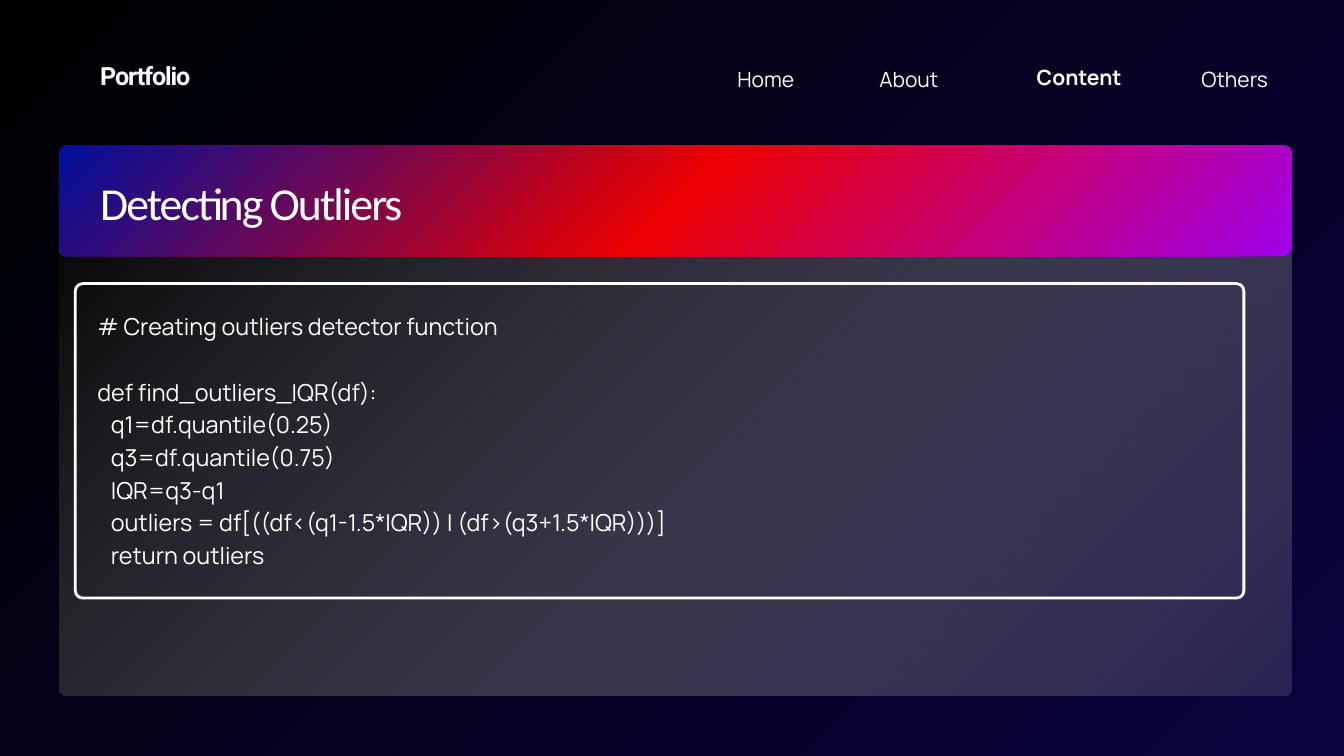
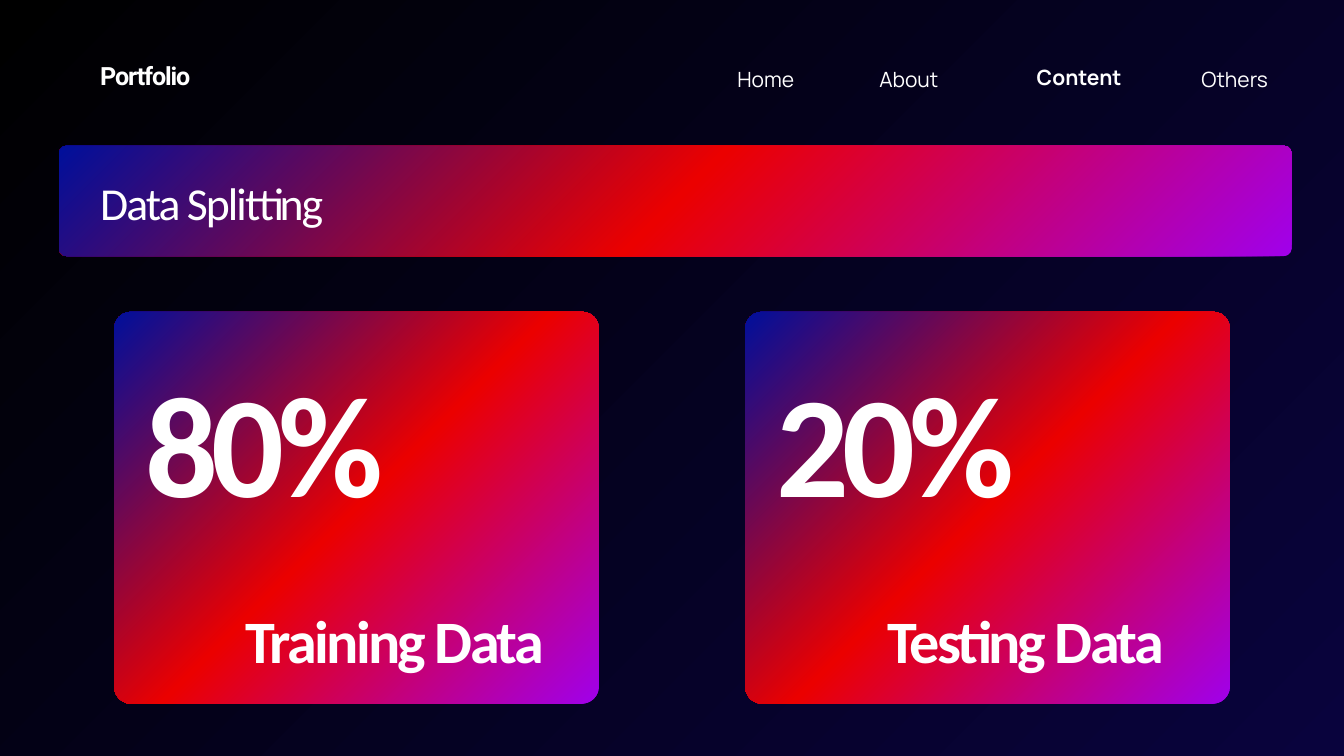
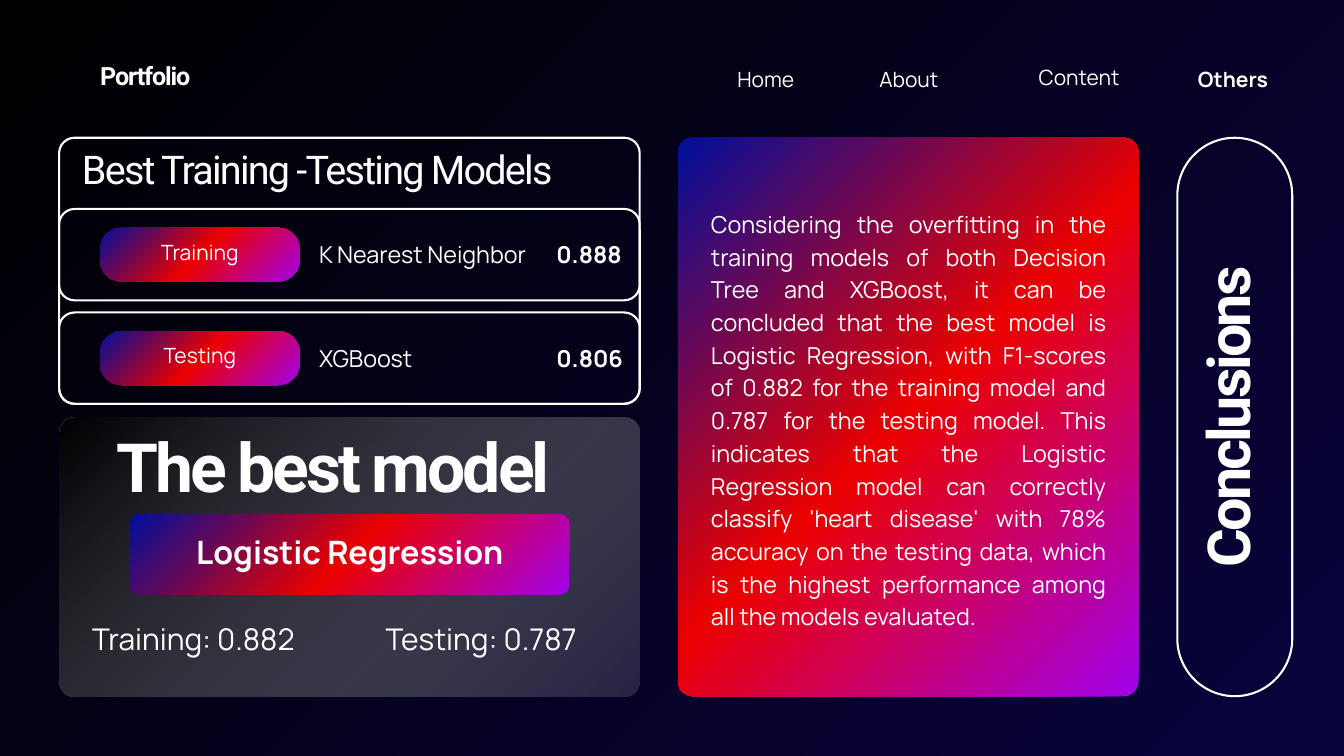
from dataclasses import dataclass
from typing import Optional

from lxml import etree
from pptx import Presentation
from pptx.dml.color import RGBColor
from pptx.enum.shapes import MSO_SHAPE as SHAPE
from pptx.enum.text import MSO_ANCHOR as ANCHOR, PP_ALIGN as ALIGN
from pptx.oxml.ns import qn
from pptx.shapes.autoshape import Shape
from pptx.slide import Slide
from pptx.text.text import TextFrame
from pptx.util import Inches, Pt

COLORS = {
    "white": "FFFFFF",
    "black": "000000",
    "night": "09033D",
    "blue": "000F9B",
    "red": "EB0000",
    "purple": "A000EB",
    "mist": "DDDDDD",
}


@dataclass(frozen=True)
class Gradient:
    stops: tuple[tuple[int, str, int], ...]
    angle: Optional[int] = None


@dataclass(frozen=True)
class Style:
    font: str
    size: float
    line: float
    bold: bool = False
    spacing: float = 0
    align: ALIGN = ALIGN.LEFT


@dataclass(frozen=True)
class Box:
    left: float
    top: float
    width: float
    height: float


@dataclass(frozen=True)
class NavItem:
    label: str
    box: Box
    align: ALIGN


@dataclass(frozen=True)
class Card:
    left: float
    share: str
    label: str


@dataclass(frozen=True)
class ModelRow:
    top: float
    stage: str
    model: str
    score: str


BACKDROP = Gradient(((0, "black", 100), (100, "night", 100)))
VIVID = Gradient(((0, "blue", 100), (50, "red", 100), (100, "purple", 100)))
GLASS = Gradient(((0, "black", 78), (100, "mist", 15)), 45)

BRAND = Style("Roboto", 26.9, 37.6, True, -1.2)
TITLE = Style("Calibri", 49, 68.6, spacing=-2.1)
CODE = Style("Manrope", 25, 35)
BODY = Style("Manrope", 25, 35, align=ALIGN.JUSTIFY)
SCORE = Style("Manrope", 25, 35, True, align=ALIGN.JUSTIFY)
RESULT = Style("Manrope", 32, 44.8, align=ALIGN.JUSTIFY)
STAGE = Style("Manrope", 22.5, 31.5, align=ALIGN.CENTER)
WINNER = Style("Manrope", 34.5, 48.3, True, align=ALIGN.CENTER)
SHARE = Style("Calibri", 154.1, 215.8, True, -6.8, ALIGN.JUSTIFY)
CARD_LABEL = Style("Calibri", 64.5, 90.3, True, -2.8, ALIGN.CENTER)
MODELS_TITLE = Style("Roboto", 42.4, 43.2, spacing=-1.9)
BEST_TITLE = Style("Roboto", 72.7, 74.2, True, -3.3)
SIDE_TITLE = Style("Roboto", 63.5, 64.7, True, -2.9, ALIGN.CENTER)

NAV = (
    NavItem("Home", Box(10, 0.92, 1.82, 0.45), ALIGN.RIGHT),
    NavItem("About", Box(12.48, 0.92, 2.09, 0.45), ALIGN.CENTER),
    NavItem("Content", Box(15.01, 0.9, 2.1, 0.45), ALIGN.CENTER),
    NavItem("Others", Box(16.44, 0.92, 2.43, 0.45), ALIGN.RIGHT),
)
CARDS = (
    Card(1.7, "80%", "Training Data"),
    Card(11.09, "20%", "Testing Data"),
)
ROWS = (
    ModelRow(3.11, "Training", "K Nearest Neighbor", "0.888"),
    ModelRow(4.65, "Testing", "XGBoost", "0.806"),
)
CODE_INTRO = "# Creating outliers detector function"
CODE_HEAD = "def find_outliers_IQR(df):"
CODE_BODY = (
    "q1=df.quantile(0.25)",
    "q3=df.quantile(0.75)",
    "IQR=q3-q1",
    "outliers = df[((df<(q1-1.5*IQR)) | (df>(q3+1.5*IQR)))]",
    "return outliers",
)
CONCLUSION = (
    "Considering the overfitting in the training models of both Decision Tree "
    "and XGBoost, it can be concluded that the best model is Logistic "
    "Regression, with F1-scores of 0.882 for the training model and 0.787 for "
    "the testing model. This indicates that the Logistic Regression model can "
    "correctly classify 'heart disease' with 78% accuracy on the testing data, "
    "which is the highest performance among all the models evaluated."
)


def apply_gradient(owner: etree._Element, gradient: Gradient) -> None:
    grad = owner.find(f".//{qn('a:gradFill')}")
    for child in list(grad):
        grad.remove(child)
    stops = etree.SubElement(grad, qn("a:gsLst"))
    for pos, color, alpha in gradient.stops:
        gs = etree.SubElement(stops, qn("a:gs"), pos=str(pos * 1000))
        clr = etree.SubElement(gs, qn("a:srgbClr"), val=COLORS[color])
        if alpha < 100:
            etree.SubElement(clr, qn("a:alpha"), val=str(alpha * 1000))
    if gradient.angle is None:
        path = etree.SubElement(grad, qn("a:path"), path="circle")
        etree.SubElement(path, qn("a:fillToRect"), r="100000", b="100000")
    else:
        etree.SubElement(grad, qn("a:lin"), ang=str(gradient.angle * 60000), scaled="0")


def write(tf: TextFrame, lines: tuple[str, ...], style: Style) -> None:
    tf.word_wrap = True
    for i, line in enumerate(lines):
        p = tf.paragraphs[0] if i == 0 else tf.add_paragraph()
        p.text = line
        p.alignment = style.align
        p.line_spacing = Pt(style.line)
        p.font.name = style.font
        p.font.size = Pt(style.size)
        p.font.bold = style.bold
        p.font.color.rgb = RGBColor.from_string(COLORS["white"])
        if style.spacing:
            props = p._p.pPr.find(qn("a:defRPr"))
            props.set("spc", str(round(style.spacing * 100)))


def add_text(s: Slide, box: Box, style: Style, *lines: str) -> Shape:
    sp = s.shapes.add_textbox(
        Inches(box.left), Inches(box.top), Inches(box.width), Inches(box.height)
    )
    tf = sp.text_frame
    tf.margin_left = tf.margin_top = tf.margin_right = tf.margin_bottom = 0
    write(tf, lines, style)
    return sp


def add_panel(
    s: Slide,
    box: Box,
    radius: float,
    gradient: Optional[Gradient] = None,
    outline: float = 0,
) -> Shape:
    sp = s.shapes.add_shape(
        SHAPE.ROUNDED_RECTANGLE,
        Inches(box.left), Inches(box.top), Inches(box.width), Inches(box.height),
    )
    sp.adjustments[0] = radius / min(box.width, box.height)
    sp.shadow.inherit = False
    if gradient:
        sp.fill.gradient()
        apply_gradient(sp.element, gradient)
    else:
        sp.fill.background()
    if outline:
        sp.line.color.rgb = RGBColor.from_string(COLORS["white"])
        sp.line.width = Pt(outline)
    else:
        sp.line.fill.background()
    return sp


def add_button(
    s: Slide, box: Box, radius: float, style: Style, text: str, lift: float
) -> None:
    tf = add_panel(s, box, radius, VIVID).text_frame
    tf.margin_left = tf.margin_top = tf.margin_right = Inches(0.06)
    tf.margin_bottom = Inches(0.06 + lift)
    tf.vertical_anchor = ANCHOR.MIDDLE
    write(tf, (text,), style)


def add_page(prs: Presentation, active: str) -> Slide:
    s = prs.slides.add_slide(prs.slide_layouts[6])
    s.background.fill.gradient()
    apply_gradient(s.element, BACKDROP)
    add_text(s, Box(1.49, 0.83, 3.26, 0.54), BRAND, "Portfolio")
    for item in NAV:
        style = Style("Manrope", 22.5, 31.5, item.label == active, align=item.align)
        add_text(s, item.box, style, item.label)
    return s


def add_title_band(s: Slide, title: str) -> None:
    add_panel(s, Box(0.88, 2.17, 18.34, 1.64), 0.11, VIVID)
    add_text(s, Box(1.49, 2.47, 18.51, 0.91), TITLE, title)


def build_outliers(prs: Presentation) -> None:
    s = add_page(prs, "Content")
    add_panel(s, Box(0.88, 2.17, 18.34, 8.18), 0.11, GLASS)
    add_title_band(s, "Detecting Outliers")
    add_panel(s, Box(1.12, 4.22, 17.39, 4.68), 0.11, outline=3)
    code = add_text(
        s, Box(1.45, 4.58, 17.23, 4.32), CODE, CODE_INTRO, CODE_HEAD, *CODE_BODY
    )
    intro, _, *body = code.text_frame.paragraphs
    intro.space_after = Pt(CODE.line)
    for p in body:
        p._p.get_or_add_pPr().set("marL", str(Inches(0.2)))


def build_splitting(prs: Presentation) -> None:
    s = add_page(prs, "Content")
    add_title_band(s, "Data Splitting")
    for card in CARDS:
        add_panel(s, Box(card.left, 4.64, 7.21, 5.83), 0.25, VIVID)
        add_text(s, Box(card.left + 0.46, 4.83, 4.74, 2.87), SHARE, card.share)
        add_text(s, Box(card.left + 1.14, 8.8, 6.07, 1.2), CARD_LABEL, card.label)


def build_conclusions(prs: Presentation) -> None:
    s = add_page(prs, "Others")
    add_panel(s, Box(10.09, 2.05, 6.85, 8.31), 0.22, VIVID)
    add_text(s, Box(10.58, 3.06, 5.88, 6.23), BODY, CONCLUSION)

    add_panel(s, Box(17.52, 2.05, 1.71, 8.31), 0.855, outline=2.25)
    side = add_text(s, Box(14.43, 5.7, 7.92, 1.01), SIDE_TITLE, "Conclusions")
    side.rotation = 270

    add_panel(s, Box(0.88, 2.05, 8.64, 3.96), 0.23, outline=2.25)
    add_text(s, Box(1.22, 2.27, 7.51, 0.68), MODELS_TITLE, "Best Training -Testing Models")
    for row in ROWS:
        add_panel(s, Box(0.88, row.top, 8.64, 1.36), 0.23, outline=2.25)
        add_button(s, Box(1.49, row.top + 0.28, 2.97, 0.8), 0.32, STAGE, row.stage, 0.14)
        add_text(s, Box(4.75, row.top + 0.4, 3.43, 0.48), BODY, row.model)
        add_text(s, Box(8.28, row.top + 0.4, 3.43, 0.48), SCORE, row.score)

    add_panel(s, Box(0.88, 6.21, 8.64, 4.16), 0.23, GLASS)
    add_text(s, Box(1.73, 6.5, 7.46, 1.15), BEST_TITLE, "The best model")
    add_button(s, Box(1.94, 7.65, 6.53, 1.2), 0.14, WINNER, "Logistic Regression", 0.19)
    add_text(s, Box(1.37, 9.14, 3.43, 0.62), RESULT, "Training: 0.882")
    add_text(s, Box(5.74, 9.14, 4.36, 0.62), RESULT, "Testing: 0.787")


def main() -> None:
    prs = Presentation()
    prs.slide_width = Inches(20)
    prs.slide_height = Inches(11.25)
    build_outliers(prs)
    build_splitting(prs)
    build_conclusions(prs)
    prs.save("out.pptx")


if __name__ == "__main__":
    main()
